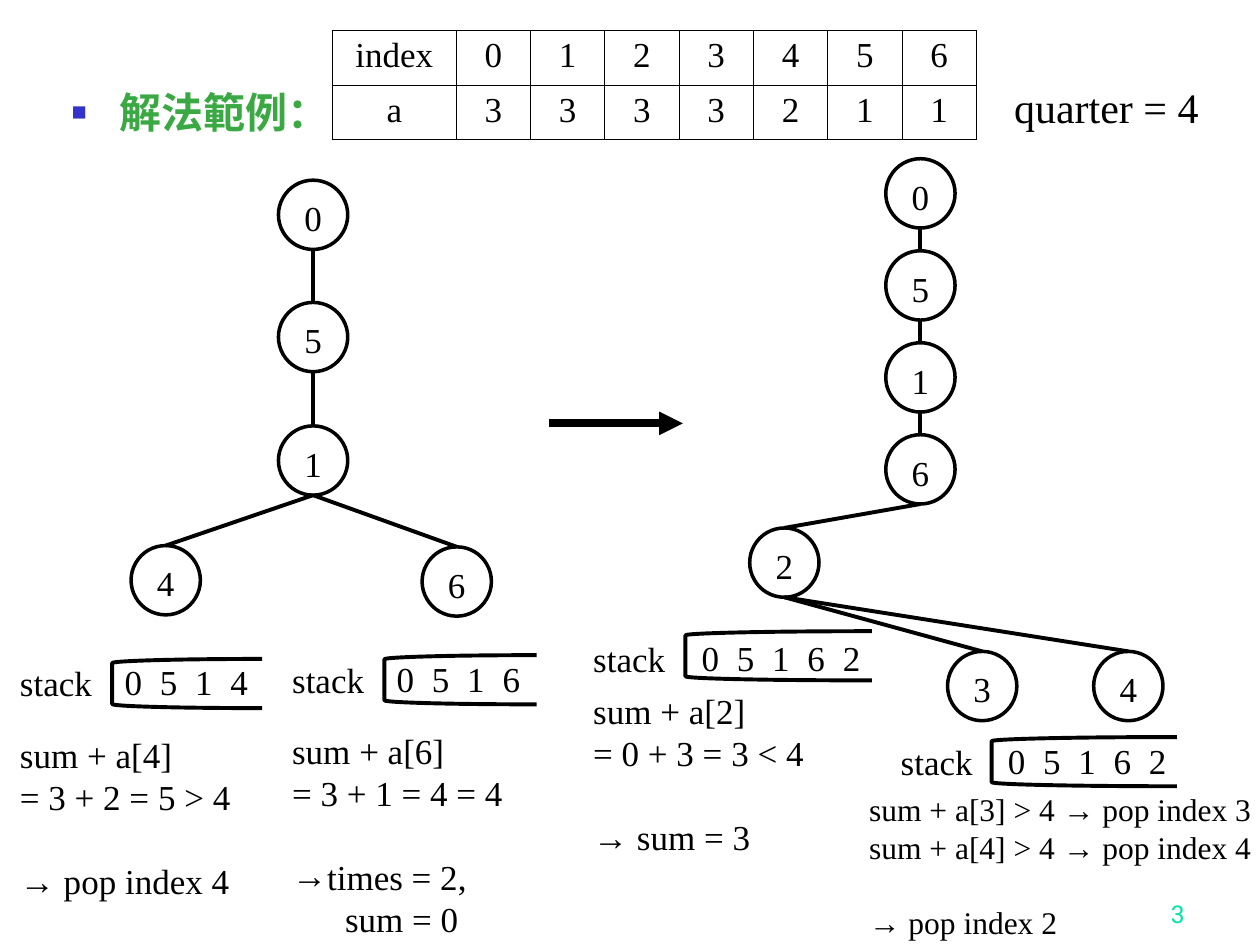
from dataclasses import dataclass
from typing import Optional

from lxml import etree
from pptx import Presentation
from pptx import util as u
from pptx.dml.color import RGBColor
from pptx.enum import shapes, text
from pptx.oxml.ns import qn

COLORS = {"ink": "000000", "paper": "FFFFFF", "heading": "3BA943",
          "bullet": "3333CC", "page": "00E4A8"}
SERIF, ARROW_FONT = "Times New Roman", "Arial"
ARROW = "→"
NODE_SIZE = 0.55
DIGIT_PITCH = 0.28


@dataclass
class Line:
    words: str
    gap: float = 0
    indent: float = 0
    bullet: Optional[str] = None


@dataclass
class Tree:
    nodes: dict[str, tuple[float, float]]
    edges: list[tuple[str, str]]


@dataclass
class Step:
    label: tuple[float, float]
    bracket: tuple[float, float, float]
    stack: str
    notes: tuple[float, float, float, float]
    lines: list[Line]
    size: int = 20


TREES = [
    Tree({"0": (2.21, 1.43), "5": (2.21, 2.4), "1": (2.21, 3.38),
          "4": (1.04, 4.33), "6": (3.35, 4.34)},
         [("0", "5"), ("5", "1"), ("1", "4"), ("1", "6")]),
    Tree({"0": (7.03, 1.26), "5": (7.03, 1.99), "1": (7.03, 2.72), "6": (7.03, 3.45),
          "2": (5.95, 4.19), "3": (7.52, 5.17), "4": (8.68, 5.17)},
         [("0", "5"), ("5", "1"), ("1", "6"), ("6", "2"), ("2", "3"), ("2", "4")]),
]

STEPS = [
    Step((0.06, 5.2), (0.89, 5.23, 1.19), "0514", (0.06, 5.77, 2.31, 1.44),
         [Line("sum + a[4]"), Line("= 3 + 2 = 5 > 4"), Line("→ pop index 4", gap=24)]),
    Step((2.22, 5.18), (3.05, 5.2, 1.21), "0516", (2.22, 5.74, 2.63, 1.77),
         [Line("sum + a[6]"), Line("= 3 + 1 = 4 = 4"),
          Line("times = 2,", gap=24, bullet=ARROW), Line("sum = 0", indent=0.42)]),
    Step((4.61, 5.01), (5.44, 5.01, 1.48), "05162", (4.61, 5.42, 2.63, 1.44),
         [Line("sum + a[2]"), Line("= 0 + 3 = 3 < 4"), Line("→ sum = 3", gap=24)]),
    Step((7.05, 5.83), (7.87, 5.85, 1.47), "05162", (6.8, 6.22, 3.3, 1.3),
         [Line("sum + a[3] > 4 → pop index 3"), Line("sum + a[4] > 4 → pop index 4"),
          Line("→ pop index 2", gap=21.5)], size=18),
]

TABLE_ROWS = [["index", *"0123456"], ["a", *"3333211"]]


def rgb(name: str) -> RGBColor:
    """Look up a named colour."""
    return RGBColor.from_string(COLORS[name])


def add_xml(parent, tag: str, **attributes: str):
    """Append a DrawingML child element."""
    return etree.SubElement(parent, qn(f"a:{tag}"), attributes)


def style(paragraph, size: float, color: str = "ink", name: str = SERIF,
          bold: bool = False) -> None:
    """Set the font shared by the runs of a paragraph."""
    font = paragraph.font
    font.size, font.name, font.bold = u.Pt(size), name, bold
    font.color.rgb = rgb(color)


def add_bullet(paragraph, char: str, color: str, percent: int = 100) -> None:
    """Give a paragraph a coloured bullet character."""
    properties = paragraph._p.get_or_add_pPr()
    add_xml(add_xml(properties, "buClr"), "srgbClr", val=COLORS[color])
    add_xml(properties, "buSzPct", val=str(percent * 1000))
    add_xml(properties, "buFont", typeface=ARROW_FONT)
    add_xml(properties, "buChar", char=char)


def add_indent(paragraph, left: float, first: float = 0) -> None:
    """Set the left margin and first-line indent in inches."""
    properties = paragraph._p.get_or_add_pPr()
    properties.set("marL", str(u.Inches(left)))
    properties.set("indent", str(u.Inches(first)))


def add_box(slide, left: float, top: float, width: float, height: float):
    """Add a wrapping text box and return its text frame."""
    frame = slide.shapes.add_textbox(*map(u.Inches, (left, top, width, height))).text_frame
    frame.word_wrap = True
    return frame


def add_label(slide, words: str, place: tuple[float, float, float, float],
              size: float = 20, color: str = "ink", name: str = SERIF):
    """Add a one-line text box and return its frame."""
    frame = add_box(slide, *place)
    frame.text = words
    style(frame.paragraphs[0], size, color, name)
    return frame


def add_notes(slide, step: Step) -> None:
    """Write the calculation below a stack."""
    frame = add_box(slide, *step.notes)
    for number, line in enumerate(step.lines):
        paragraph = frame.add_paragraph() if number else frame.paragraphs[0]
        if line.bullet:
            add_bullet(paragraph, line.bullet, "ink")
        if line.indent:
            add_indent(paragraph, line.indent)
        if line.gap:
            paragraph.space_before = u.Pt(line.gap)
        style(paragraph, step.size)
        before, arrow, after = line.words.partition(ARROW)
        for part in filter(None, (before, arrow, after)):
            run = paragraph.add_run()
            run.text = part
            if part == ARROW:
                run.font.name = ARROW_FONT


def add_step(slide, step: Step) -> None:
    """Draw a labelled stack and its calculation."""
    left, top, width = step.bracket
    bracket = slide.shapes.add_shape(shapes.MSO_SHAPE.LEFT_BRACKET,
                                     *map(u.Inches, (left, top, width, 0.39)))
    bracket.shadow.inherit = False
    bracket.fill.background()
    bracket.line.color.rgb, bracket.line.width = rgb("ink"), u.Pt(2.25)
    add_label(slide, "stack", (*step.label, 0.81, 0.44))
    digits = add_box(slide, left + (0.03 if len(step.stack) > 4 else 0), step.label[1] - 0.01,
                     width + 0.1, 0.44).paragraphs[0]
    stops = add_xml(digits._p.get_or_add_pPr(), "tabLst")
    for position in range(1, len(step.stack)):
        add_xml(stops, "tab", pos=str(u.Inches(position * DIGIT_PITCH)), algn="l")
    style(digits, 20)
    digits.add_run().text = "\t".join(step.stack)
    add_notes(slide, step)


def add_line(slide, start: tuple[float, float], end: tuple[float, float],
             weight: float = 2.25, arrow: bool = False) -> None:
    """Draw a straight line, with an arrowhead if asked."""
    line = slide.shapes.add_connector(shapes.MSO_CONNECTOR.STRAIGHT,
                                      *map(u.Inches, (*start, *end)))
    line.line.color.rgb, line.line.width = rgb("ink"), u.Pt(weight)
    if arrow:
        add_xml(line.line._get_or_add_ln(), "tailEnd", type="triangle")
    add_xml(line._element.spPr, "effectLst")


def add_tree(slide, tree: Tree) -> None:
    """Draw the nodes of a tree and the edges between them."""
    for index, (left, top) in tree.nodes.items():
        node = slide.shapes.add_shape(shapes.MSO_SHAPE.OVAL, *map(
            u.Inches, (left, top, NODE_SIZE, NODE_SIZE)))
        node.shadow.inherit = False
        node.fill.solid()
        node.fill.fore_color.rgb = rgb("paper")
        node.line.color.rgb, node.line.width = rgb("ink"), u.Pt(2)
        frame = node.text_frame
        frame.text, frame.word_wrap = index, False
        frame.vertical_anchor = text.MSO_ANCHOR.TOP
        frame.paragraphs[0].alignment = text.PP_ALIGN.CENTER
        style(frame.paragraphs[0], 20)
    for parent, child in tree.edges:
        (left, top), (child_left, child_top) = tree.nodes[parent], tree.nodes[child]
        half = NODE_SIZE / 2
        add_line(slide, (left + half, top + NODE_SIZE), (child_left + half, child_top))


def add_array(slide) -> None:
    """Add the table of array values."""
    table = slide.shapes.add_table(2, 8, *map(u.Inches, (2.64, 0.24, 5.12, 0.87))).table
    for number, column in enumerate(table.columns):
        column.width = u.Inches(0.59 if number else 0.98)
    for row, values in zip(table.rows, TABLE_ROWS):
        for cell, value in zip(row.cells, values):
            cell.text = value
            cell.text_frame.paragraphs[0].alignment = text.PP_ALIGN.CENTER
            style(cell.text_frame.paragraphs[0], 20)
            properties = cell._tc.get_or_add_tcPr()
            for side in ("lnL", "lnR", "lnT", "lnB"):
                border = add_xml(properties, side, w=str(u.Pt(0.45)))
                add_xml(add_xml(border, "solidFill"), "srgbClr", val=COLORS["ink"])
            cell.fill.solid()
            cell.fill.fore_color.rgb = rgb("paper")


deck = Presentation()
deck.slide_width, deck.slide_height = u.Inches(10), u.Inches(7.5)
slide = deck.slides.add_slide(deck.slide_layouts[6])
page = add_label(slide, "3", (7.42, 6.92, 2.08, 0.5), 14, "page", "Roboto")
page.vertical_anchor = text.MSO_ANCHOR.BOTTOM
page.paragraphs[0].alignment = text.PP_ALIGN.RIGHT
heading = add_box(slide, 0.47, 0.68, 9.23, 6.15).paragraphs[0]
add_bullet(heading, "■", "bullet", 60)
add_indent(heading, 0.38, -0.38)
heading.line_spacing = 0.9
style(heading, 24, "heading", bold=True)
heading.add_run().text = "解法範例："
add_array(slide)
add_label(slide, "quarter = 4", (7.95, 0.6, 1.67, 0.5), 24)
for tree in TREES:
    add_tree(slide, tree)
for step in STEPS:
    add_step(slide, step)
add_line(slide, (4.36, 3.36), (5.42, 3.36), 4.5, arrow=True)
deck.save("out.pptx")
